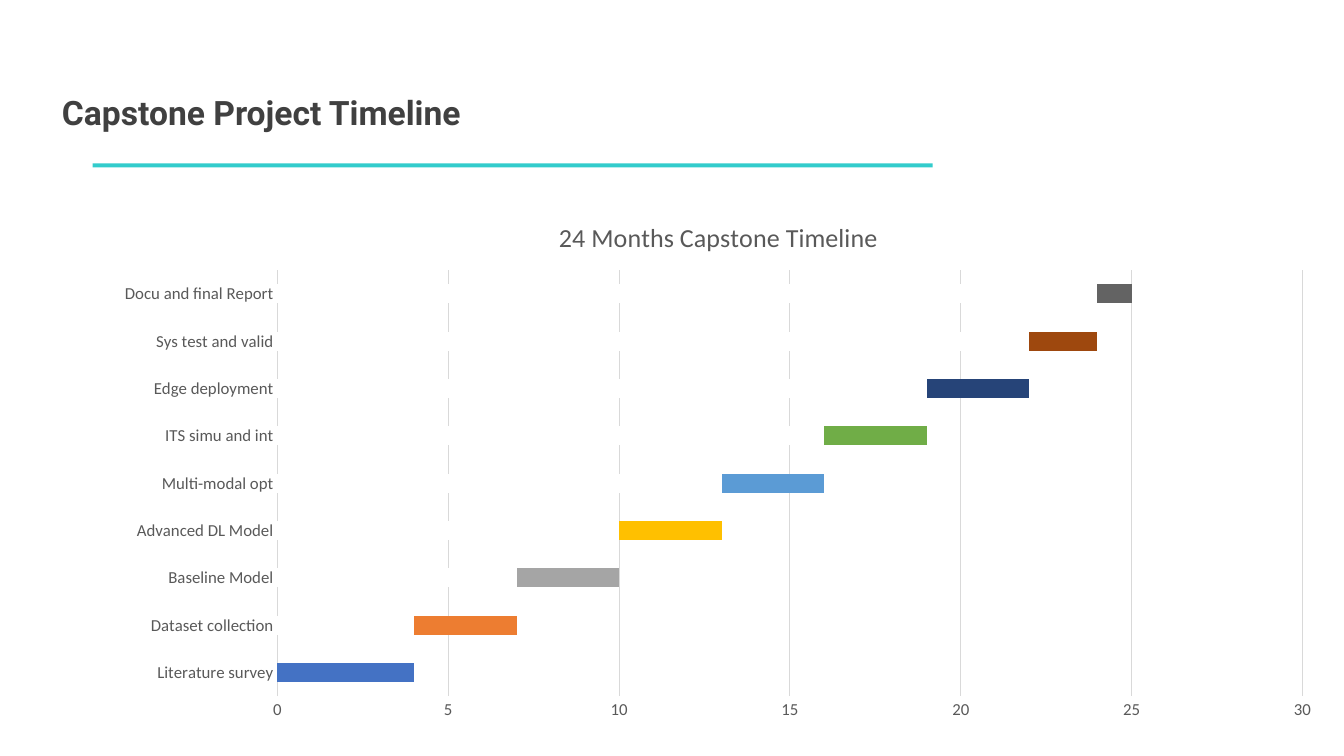
from dataclasses import dataclass

from lxml.etree import SubElement
from pptx import Presentation
from pptx.chart.data import CategoryChartData
from pptx.dml.color import RGBColor
from pptx.enum.chart import XL_CHART_TYPE, XL_TICK_MARK
from pptx.enum.shapes import MSO_SHAPE
from pptx.enum.text import MSO_ANCHOR, PP_ALIGN
from pptx.oxml.ns import qn
from pptx.util import Inches, Pt

WHITE = "FFFFFF"
TEAL = "33CCCC"
HEADING_GRAY = "404040"
LABEL_GRAY = "595959"
GRID_GRAY = "D9D9D9"
SPARE_BROWN = "997300"


@dataclass(frozen=True)
class Phase:
    label: str
    months: int
    color: str


PHASES = [
    Phase("Literature survey", 4, "4472C4"),
    Phase("Dataset collection", 3, "ED7D31"),
    Phase("Baseline Model", 3, "A5A5A5"),
    Phase("Advanced DL Model", 3, "FFC000"),
    Phase("Multi-modal opt", 3, "5B9BD5"),
    Phase("ITS simu and int", 3, "70AD47"),
    Phase("Edge deployment", 3, "264478"),
    Phase("Sys test and valid", 2, "9E480E"),
    Phase("Docu and final Report", 1, "636363"),
]


def rgb(color: str) -> RGBColor:
    return RGBColor.from_string(color)


def fill_solid(part, color: str) -> None:
    part.fill.solid()
    part.fill.fore_color.rgb = rgb(color)


def format_font(font, *, size: float, color: str, name="Calibri", bold=False) -> None:
    font.name = name
    font.size = Pt(size)
    font.bold = bold
    font.color.rgb = rgb(color)


def write_text(frame, text: str, *, align=PP_ALIGN.LEFT, **font_format) -> None:
    paragraph = frame.paragraphs[0]
    paragraph.alignment = align
    run = paragraph.add_run()
    run.text = text
    format_font(run.font, **font_format)


def place_by_fraction(element, **fractions: float) -> None:
    """Give a chart title or plot area a manual layout in fractions of the chart."""
    layout = element.find(qn("c:layout"))
    if layout is None:
        layout = element.makeelement(qn("c:layout"))
        text = element.find(qn("c:tx"))
        element.insert(0 if text is None else 1, layout)
    manual = SubElement(layout, qn("c:manualLayout"))
    if "w" in fractions:
        SubElement(manual, qn("c:layoutTarget")).set("val", "inner")
    for side in ("x", "y"):
        SubElement(manual, qn(f"c:{side}Mode")).set("val", "edge")
    for side, fraction in fractions.items():
        SubElement(manual, qn(f"c:{side}")).set("val", str(fraction))


def add_heading(slide) -> None:
    heading = slide.shapes.title
    heading.left, heading.top = Inches(0.5), Inches(0.86)
    heading.width, heading.height = Inches(4.17), Inches(0.5)
    frame = heading.text_frame
    frame.word_wrap = False
    frame.vertical_anchor = MSO_ANCHOR.MIDDLE
    write_text(frame, "Capstone Project Timeline", align=PP_ALIGN.RIGHT,
               size=24, color=HEADING_GRAY, name="Roboto", bold=True)

    underline = slide.shapes.add_shape(
        MSO_SHAPE.RECTANGLE, Inches(0.92), Inches(1.62), Inches(8.33), Inches(0.04))
    underline.shadow.inherit = False
    fill_solid(underline, TEAL)
    underline.line.fill.background()


def format_axis(axis) -> None:
    axis.major_tick_mark = XL_TICK_MARK.NONE
    axis.minor_tick_mark = XL_TICK_MARK.NONE
    format_font(axis.tick_labels.font, size=12, color=LABEL_GRAY)


def draw_gray_line(line) -> None:
    line.color.rgb = rgb(GRID_GRAY)
    line.width = Pt(0.75)


def add_timeline(slide) -> None:
    """Stack each phase on white spacers as long as the phases before it."""
    data = CategoryChartData()
    data.categories = [phase.label for phase in PHASES]
    for start, phase in enumerate(PHASES):
        data.add_series(f"Series {start + 1}",
                        [phase.months if row >= start else 0 for row in range(len(PHASES))])
    data.add_series(f"Series {len(PHASES) + 1}", [None] * len(PHASES))
    chart = slide.shapes.add_chart(
        XL_CHART_TYPE.BAR_STACKED, Inches(1), Inches(2), Inches(12.25), Inches(5.25), data).chart
    format_font(chart.font, size=10, color="000000")
    chart.has_legend = False

    chart.has_title = True
    write_text(chart.chart_title.text_frame, "24 Months Capstone Timeline",
               align=PP_ALIGN.CENTER, size=18.6, color=LABEL_GRAY)
    chart.chart_title.include_in_layout = False

    bars = chart.plots[0]
    bars.gap_width, bars.overlap = 150, 100
    bars.vary_by_categories = False
    colors = [phase.color for phase in PHASES] + [SPARE_BROWN]
    for start, (series, color) in enumerate(zip(bars.series, colors)):
        series.invert_if_negative = False
        fill_solid(series.format, color)
        for row in range(start + 1, len(PHASES)):
            fill_solid(series.points[row].format, WHITE)

    phase_axis, month_axis = chart.category_axis, chart.value_axis
    for axis in (phase_axis, month_axis):
        format_axis(axis)
    draw_gray_line(phase_axis.format.line)
    month_axis.minimum_scale, month_axis.maximum_scale = 0, 30
    month_axis.major_unit = 5
    month_axis.format.line.fill.background()
    draw_gray_line(month_axis.major_gridlines.format.line)

    place_by_fraction(chart.chart_title._element, x=0.367, y=0.025)
    place_by_fraction(chart._chartSpace.chart.plotArea, x=0.143, y=0.13, w=0.83, h=0.805)


def main() -> None:
    deck = Presentation()
    deck.slide_width, deck.slide_height = Inches(13.33), Inches(7.5)
    slide = deck.slides.add_slide(deck.slide_layouts.get_by_name("Title Only"))
    fill_solid(slide.background, WHITE)
    add_heading(slide)
    add_timeline(slide)
    deck.save("out.pptx")


if __name__ == "__main__":
    main()
